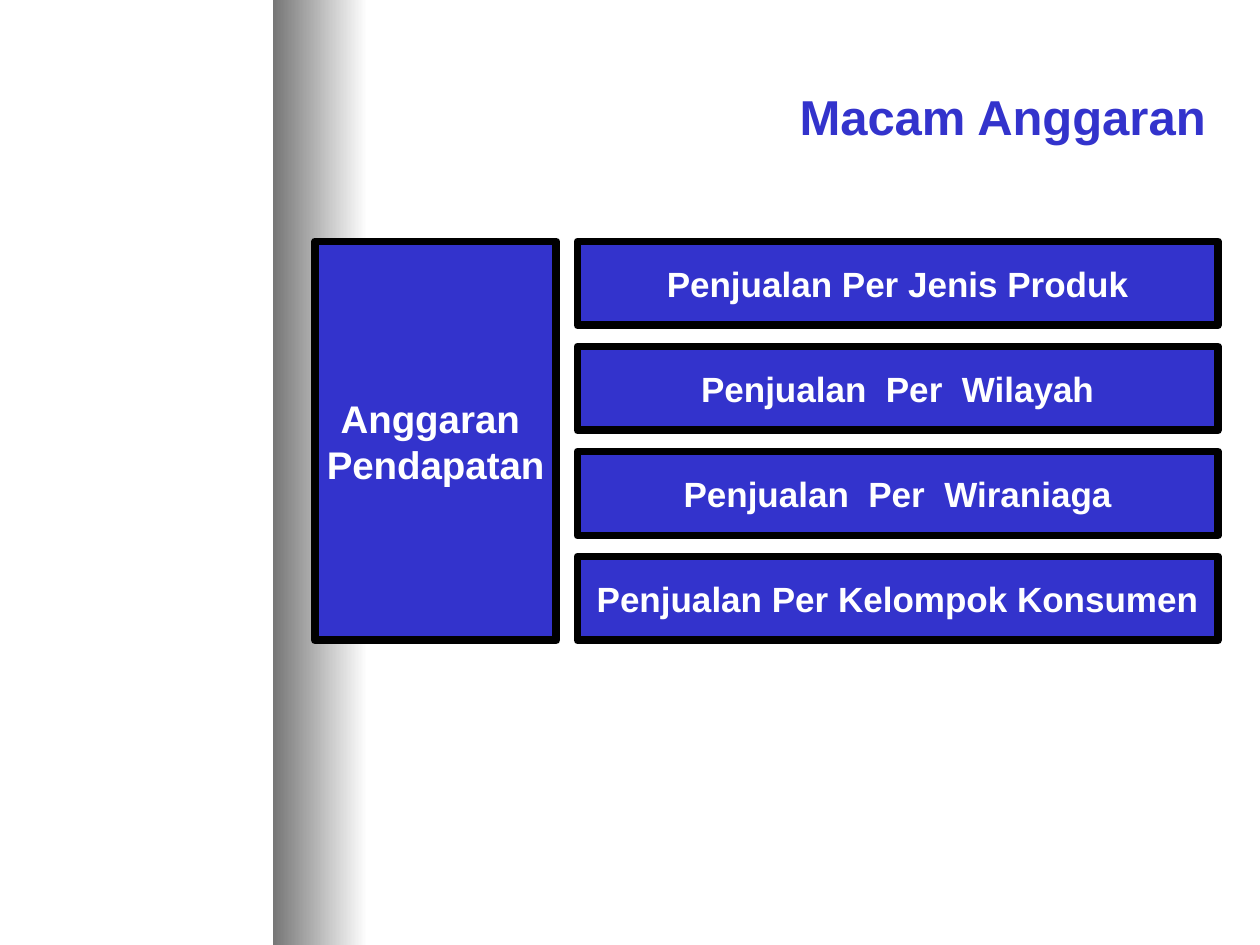
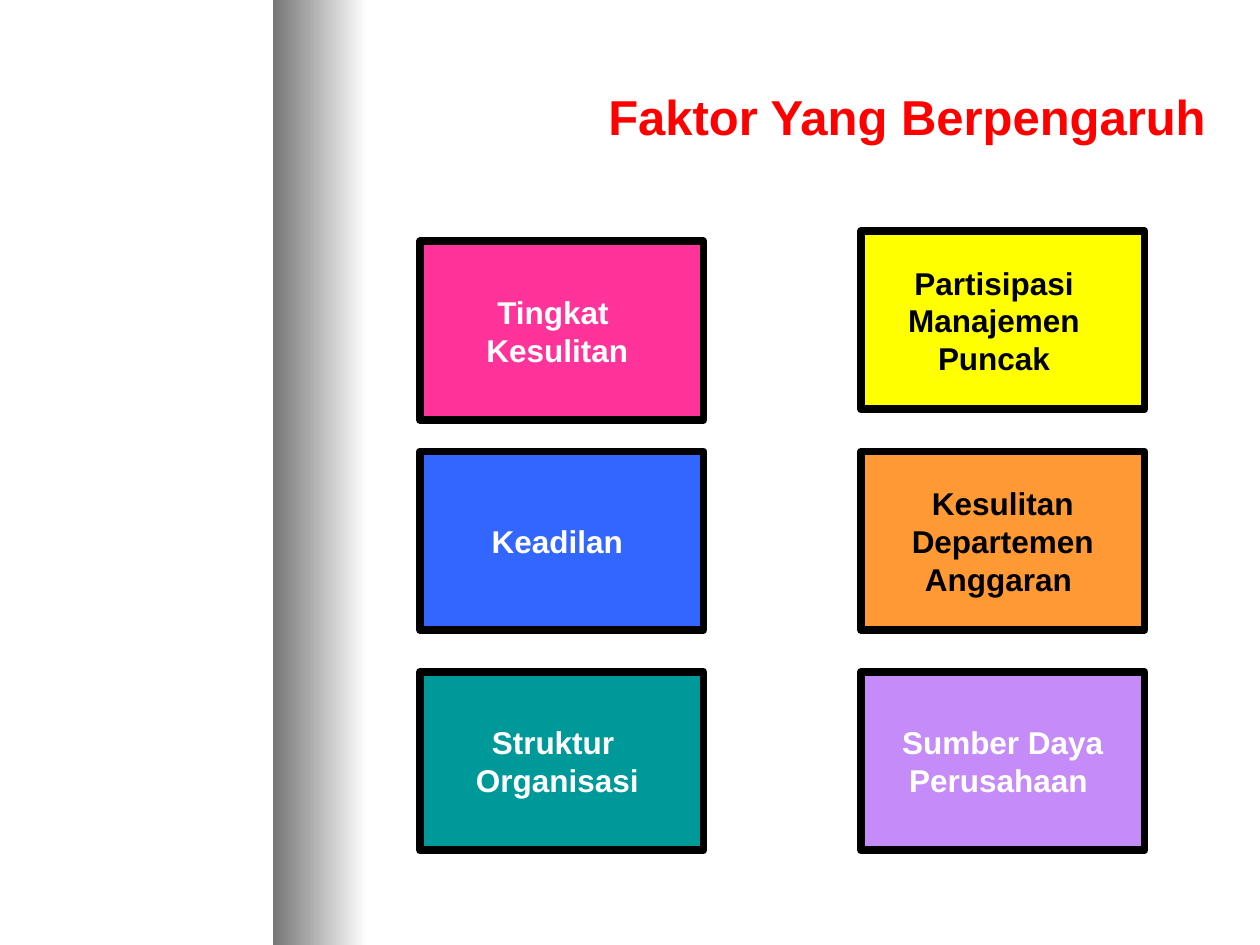
"""Build two slides on budget types and the factors that influence budgets."""
from pptx import Presentation
from pptx.dml.color import RGBColor
from pptx.enum.shapes import MSO_SHAPE
from pptx.enum.text import MSO_ANCHOR, PP_ALIGN
from pptx.util import Pt

FONT = "Arial"
BLACK = RGBColor(0x00, 0x00, 0x00)
WHITE = RGBColor(0xFF, 0xFF, 0xFF)
BAND_GREY = RGBColor(0x76, 0x76, 0x76)
INDIGO = RGBColor(0x33, 0x33, 0xCC)
RED = RGBColor(0xFF, 0x00, 0x00)
PINK = RGBColor(0xFF, 0x33, 0x99)
BLUE = RGBColor(0x33, 0x66, 0xFF)
TEAL = RGBColor(0x00, 0x99, 0x99)
YELLOW = RGBColor(0xFF, 0xFF, 0x00)
ORANGE = RGBColor(0xFF, 0x99, 0x33)
LILAC = RGBColor(0xC5, 0x8B, 0xF9)


def write_lines(shape, lines, size, color, align, wrap):
    frame = shape.text_frame
    frame.word_wrap = wrap
    frame.vertical_anchor = MSO_ANCHOR.MIDDLE
    for index, line in enumerate(lines):
        paragraph = frame.add_paragraph() if index else frame.paragraphs[0]
        paragraph.alignment = align
        run = paragraph.add_run()
        run.text = line
        run.font.name = FONT
        run.font.size = Pt(size)
        run.font.bold = True
        run.font.color.rgb = color


def add_box(slide, left, top, width, height, lines, size, fill, color=WHITE):
    box = slide.shapes.add_shape(
        MSO_SHAPE.RECTANGLE, Pt(left), Pt(top), Pt(width), Pt(height))
    box.shadow.inherit = False
    box.fill.solid()
    box.fill.fore_color.rgb = fill
    box.line.color.rgb = BLACK
    box.line.width = Pt(4.5)
    write_lines(box, lines, size, color, PP_ALIGN.CENTER, False)


prs = Presentation()
prs.slide_width, prs.slide_height = Pt(720), Pt(540)

slides = []
for heading, heading_color in [("Macam Anggaran", INDIGO),
                               ("Faktor Yang Berpengaruh", RED)]:
    slide = prs.slides.add_slide(prs.slide_layouts[6])
    band = slide.shapes.add_shape(
        MSO_SHAPE.RECTANGLE, Pt(156), Pt(0), Pt(54), Pt(540))
    band.shadow.inherit = False
    band.line.fill.background()
    band.fill.gradient()
    band.fill.gradient_angle = 0
    for stop, shade in zip(band.fill.gradient_stops, (BAND_GREY, WHITE)):
        stop.color.rgb = shade
    title = slide.shapes.add_textbox(Pt(192), Pt(18), Pt(504), Pt(96))
    write_lines(title, [heading], 28, heading_color, PP_ALIGN.RIGHT, True)
    slides.append(slide)
budget_slide, factor_slide = slides

add_box(budget_slide, 180, 138, 138, 228, ["Anggaran ", "Pendapatan"], 22, INDIGO)
sales_budgets = [
    "Penjualan Per Jenis Produk",
    "Penjualan  Per  Wilayah",
    "Penjualan  Per  Wiraniaga",
    "Penjualan Per Kelompok Konsumen",
]
for row, sales_budget in enumerate(sales_budgets):
    add_box(budget_slide, 330, 138 + 60 * row, 366, 48, [sales_budget], 20, INDIGO)

LEFT_COLUMN, RIGHT_COLUMN = 240, 492
factors = [
    (LEFT_COLUMN, 138, ["Tingkat  ", "Kesulitan "], PINK, WHITE),
    (LEFT_COLUMN, 258, ["Keadilan "], BLUE, WHITE),
    (LEFT_COLUMN, 384, ["Struktur  ", "Organisasi "], TEAL, WHITE),
    (RIGHT_COLUMN, 132, ["Partisipasi  ", "Manajemen  ", "Puncak  "], YELLOW, BLACK),
    (RIGHT_COLUMN, 258, ["Kesulitan", "Departemen", "Anggaran "], ORANGE, BLACK),
    (RIGHT_COLUMN, 384, ["Sumber Daya", "Perusahaan "], LILAC, WHITE),
]
for left, top, lines, fill, color in factors:
    add_box(factor_slide, left, top, 162, 102, lines, 18, fill, color)

prs.save("out.pptx")
